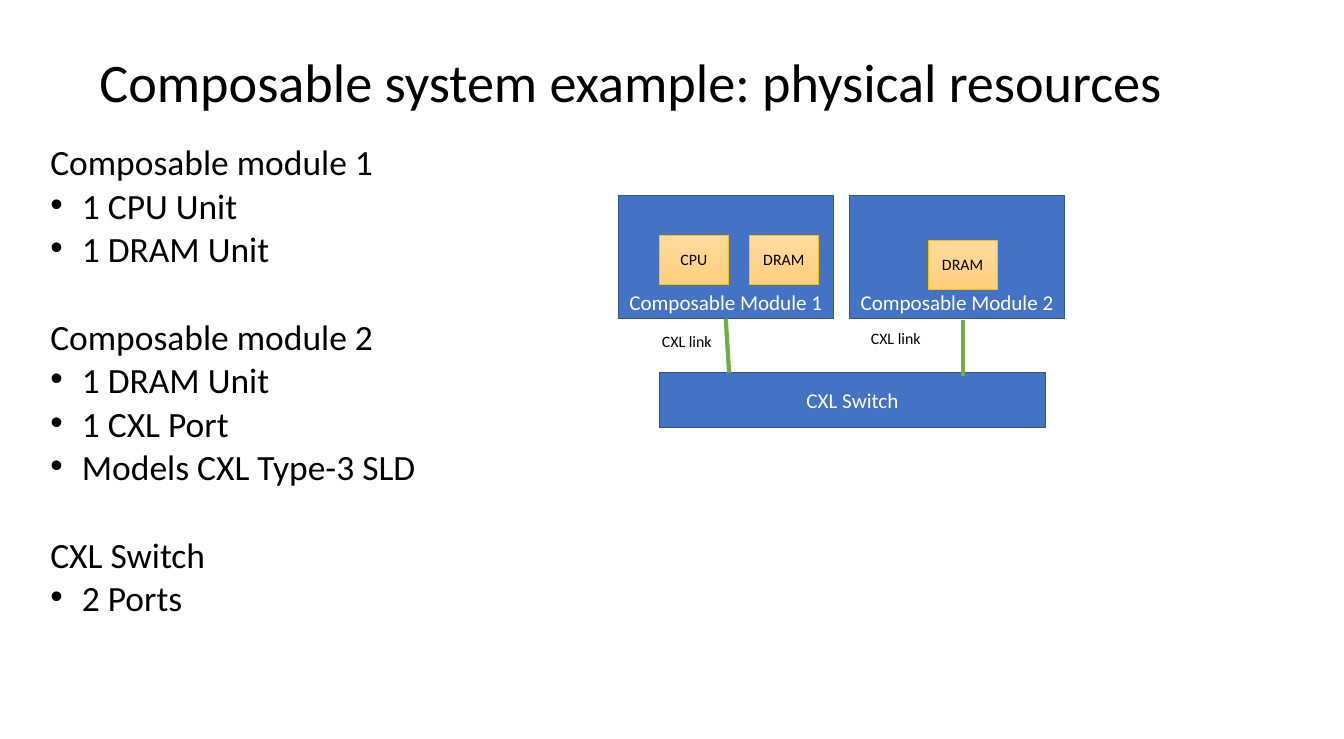
"""Builds a slide on the physical resources of a composable system."""
import pptx
import pptx.util
import pptx.dml.color
import pptx.enum.shapes
import pptx.enum.text
import pptx.oxml
from lxml import etree

COLS, ROWS = 20, 11
WIDTH, HEIGHT = pptx.util.Inches(COLS), pptx.util.Inches(ROWS)
FONT = "Calibri"
HEX = {"ink": "000000", "paper": "FFFFFF", "blue": "4472C4", "navy": "325491",
       "cream": "FFDB9E", "peach": "FFD07C", "gold": "FFC000", "green": "70AD47"}
ALIGN = pptx.enum.text.PP_ALIGN
ANCHOR = pptx.enum.text.MSO_ANCHOR
RECT = pptx.enum.shapes.MSO_SHAPE.RECTANGLE
LINE = pptx.enum.shapes.MSO_CONNECTOR.STRAIGHT
PARTS = {"Composable module 1": ["1 CPU Unit", "1 DRAM Unit"],
         "Composable module 2": ["1 DRAM Unit", "1 CXL Port", "Models CXL Type-3 SLD"],
         "CXL Switch": ["2 Ports"]}
LEAD, GAP = 14.7, 61.8
INDENT = pptx.util.Inches(0.47)


def color(name):
    return pptx.dml.color.RGBColor.from_string(HEX[name])


def place(*cells):
    """Turn grid columns and rows, in turn, into lengths."""
    return [int(n * (HEIGHT / ROWS if i % 2 else WIDTH / COLS))
            for i, n in enumerate(cells)]


def style(para, size, ink="ink", align=ALIGN.LEFT):
    para.alignment = align
    para.font.name = FONT
    para.font.size = pptx.util.Pt(size)
    para.font.color.rgb = color(ink)


def title(slide, text):
    shape = slide.shapes.title
    shape.left, shape.top, shape.width, shape.height = place(1.38, 0.59, 17.25, 1.36)
    frame = shape.text_frame
    frame.text = text
    frame.vertical_anchor = ANCHOR.MIDDLE
    style(frame.paragraphs[0], 58.1)
    frame.paragraphs[0].line_spacing = 0.9


def bullet(para):
    props = para._p.get_or_add_pPr()
    props.set("marL", str(INDENT))
    props.set("indent", str(-INDENT))
    font = etree.SubElement(props, pptx.oxml.ns.qn("a:buFont"))
    font.set("typeface", "Arial")
    mark = etree.SubElement(props, pptx.oxml.ns.qn("a:buChar"))
    mark.set("char", "\u2022")


def outline(slide, parts, cells):
    """List each part as a heading with its bullets."""
    frame = slide.shapes.add_textbox(*place(*cells)).text_frame
    frame.word_wrap = True
    para = frame.paragraphs[0]
    for i, (head, items) in enumerate(parts.items()):
        for j, text in enumerate([head] + items):
            if i or j:
                para = frame.add_paragraph()
            para.text = text
            style(para, 38)
            para.line_spacing = 0.7
            para.space_before = pptx.util.Pt(GAP if i and not j else LEAD)
            if j:
                bullet(para)


def box(slide, text, cells, size, ink, edge, weight, anchor):
    shape = slide.shapes.add_shape(RECT, *place(*cells))
    shape.shadow.inherit = False
    shape.line.color.rgb = color(edge)
    shape.line.width = pptx.util.Pt(weight)
    frame = shape.text_frame
    frame.text = text
    frame.word_wrap = True
    frame.vertical_anchor = anchor
    style(frame.paragraphs[0], size, ink, ALIGN.CENTER)
    return shape


def block(slide, text, cells, anchor=ANCHOR.BOTTOM):
    shape = box(slide, text, cells, 22.6, "paper", "navy", 1, anchor)
    shape.fill.solid()
    shape.fill.fore_color.rgb = color("blue")


def unit(slide, text, col, row):
    shape = box(slide, text, (col, row, 1.03, 0.73), 17, "ink", "gold", 0.5, ANCHOR.MIDDLE)
    shape.fill.gradient()
    shape.fill.gradient_angle = 270
    for stop, (name, spot) in zip(shape.fill.gradient_stops, [("cream", 0), ("peach", 1)]):
        stop.color.rgb = color(name)
        stop.position = spot


def link(slide, ends, label):
    """Draw a link between two points and write its label."""
    line = slide.shapes.add_connector(LINE, *place(*ends))
    line.line.color.rgb = color("green")
    line.line.width = pptx.util.Pt(4.5)
    etree.SubElement(line._element.spPr, pptx.oxml.ns.qn("a:effectLst"))
    frame = slide.shapes.add_textbox(*place(*label, 1.82, 0.4)).text_frame
    frame.word_wrap = True
    frame.text = "CXL link"
    style(frame.paragraphs[0], 17)


def main():
    deck = pptx.Presentation()
    deck.slide_width, deck.slide_height = WIDTH, HEIGHT
    slide = deck.slides.add_slide(deck.slide_layouts[5])
    title(slide, "Composable system example: physical resources")
    outline(slide, PARTS, (0.65, 2.21, 6.15, 7.6))
    for i in range(2):
        block(slide, f"Composable Module {i + 1}", (9.2 + 3.44 * i, 2.91, 3.2, 1.83))
    block(slide, "CXL Switch", (9.81, 5.55, 5.75, 0.82), ANCHOR.MIDDLE)
    for text, col, row in [("CPU", 9.81, 3.5), ("DRAM", 11.15, 3.5), ("DRAM", 13.81, 3.57)]:
        unit(slide, text, col, row)
    link(slide, (10.8, 4.74, 10.85, 5.55), (9.75, 4.89))
    link(slide, (14.33, 4.77, 14.33, 5.59), (12.86, 4.84))
    deck.save("out.pptx")


main()
